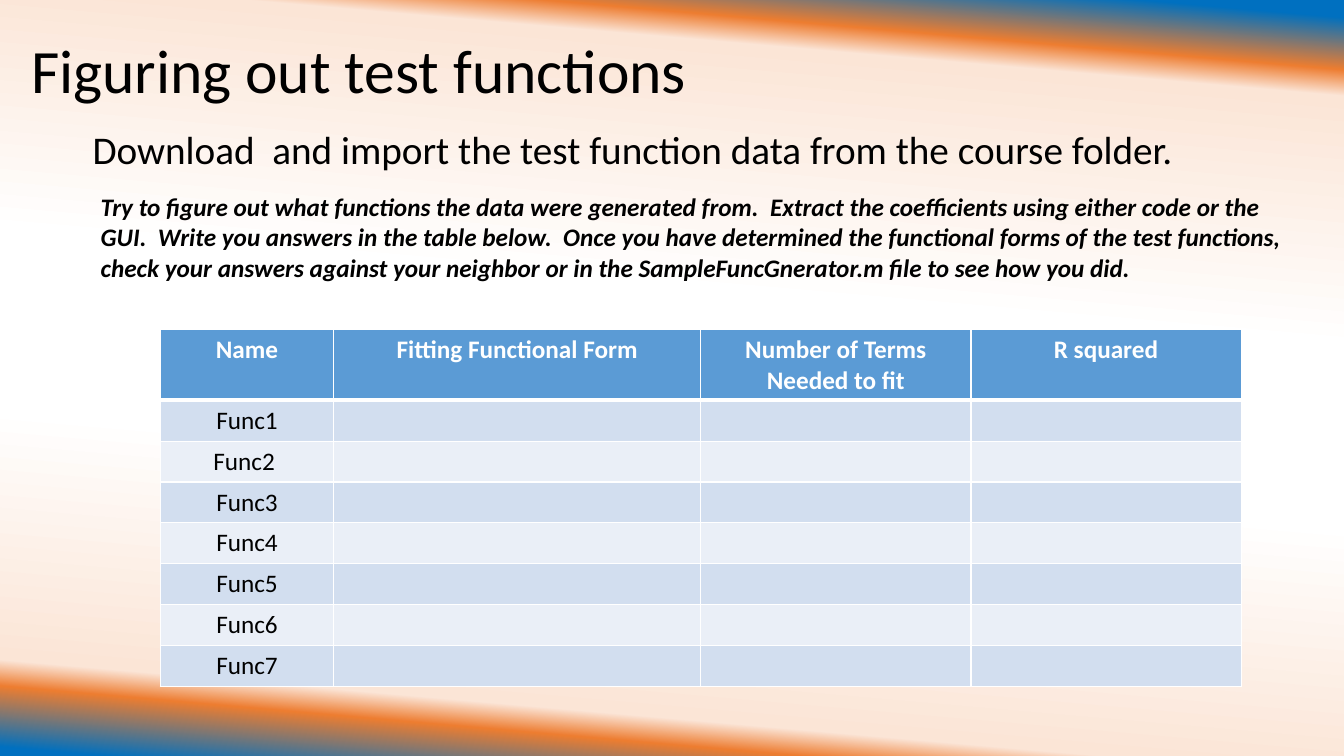
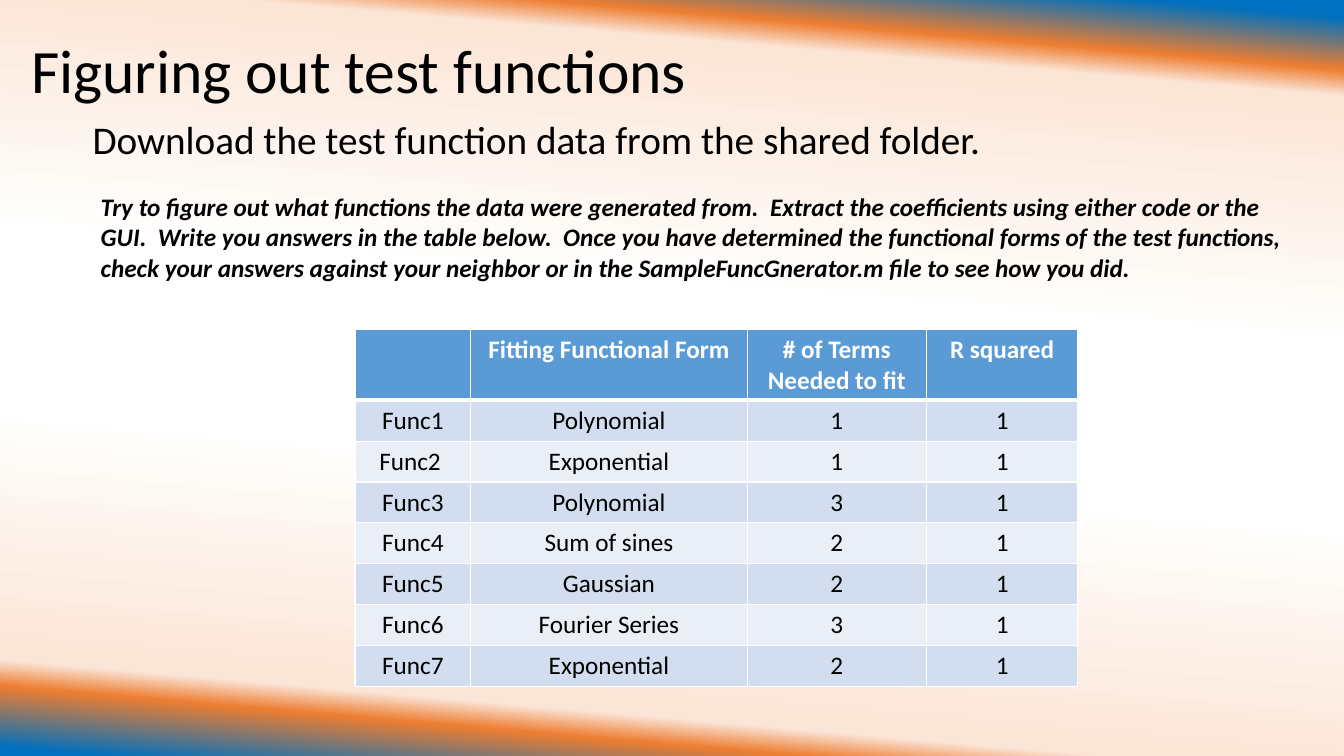
from lxml import etree
from pptx import Presentation
from pptx import oxml
from pptx import util as u
from pptx.dml.color import RGBColor
from pptx.enum import text as t
from pptx.oxml.ns import nsdecls, qn

# Shared look
FONT = "Calibri"
BLACK, WHITE = "000000", "FFFFFF"
HEAD, BANDS = "5B9BD5", ("D2DEEF", "EAEFF7")
BLUE, ORANGE, PEACH = "0070C0", "ED7D31", "FBE5D6"
STOPS = [(2, BLUE), (8, ORANGE), (11, PEACH), (40, WHITE),
         (60, WHITE), (89, PEACH), (92, ORANGE), (99, BLUE)]
ANGLE = 95

TITLE = dict(size=u.Pt(44))
LEAD = dict(size=u.Pt(28))
NOTE = dict(size=u.Pt(18), bold=True, italic=True)
CELL = dict(size=u.Pt(18), bold=False)
TIGHT = dict(line_spacing=0.9)

# Table measures in inches
TOP, TALL, HEAD_ROW = 3.27, 3.54, 0.7

TASK = ("Try to figure out what functions the data were generated from.  "
        "Extract the coefficients using either code or the GUI.  "
        "Write you answers in the table below.  "
        "Once you have determined the functional forms of the test functions, "
        "check your answers against your neighbor or in the "
        "SampleFuncGnerator.m file to see how you did.")
NAMES = ["Func1", "Func2 ", "Func3", "Func4", "Func5", "Func6", "Func7"]
FORMS = ["Polynomial", "Exponential", "Polynomial", "Sum of sines",
         "Gaussian", "Fourier Series", "Exponential"]
TERMS = [1, 1, 3, 2, 2, 3, 2]

SLIDES = [
    dict(lead="Download  and import the test function data from the course folder.",
         lead_top=1.25, left=1.59, cols=[1.72, 3.64, 2.68, 2.68],
         rows=[["Name", "Fitting Functional Form",
                "Number of Terms Needed to fit", "R squared"]]
         + [[name, "", "", ""] for name in NAMES]),
    dict(lead="Download the test function data from the shared folder.",
         lead_top=1.15, left=3.52, cols=[1.15, 2.74, 1.78, 1.5],
         rows=[["", "Fitting Functional Form",
                "# of Terms Needed to fit", "R squared"]]
         + [[name, form, str(count), "1"]
            for name, form, count in zip(NAMES, FORMS, TERMS)]),
]


def rgb(code):
    return RGBColor.from_string(code)


def apply(item, style):
    for key, value in style.items():
        setattr(item, key, value)


def write(para, words, font, color=BLACK, **layout):
    apply(para, layout)
    if words:
        run = para.add_run()
        run.text = words
        apply(run.font, dict(name=FONT, **font))
        run.font.color.rgb = rgb(color)


def paint(master):
    """Give the master its slanted gradient."""
    fill = master.background.fill
    fill.gradient()
    grad = next(master.element.iter(qn("a:gradFill")))
    for node in list(grad):
        grad.remove(node)
    stops = etree.SubElement(grad, qn("a:gsLst"))
    for place, color in STOPS:
        stop = etree.SubElement(stops, qn("a:gs"), pos=str(place * 1000))
        etree.SubElement(stop, qn("a:srgbClr"), val=color)
    etree.SubElement(grad, qn("a:lin"), ang=str(ANGLE * 60000), scaled="0")


def add_text(slide, box, words, font, anchor=t.MSO_ANCHOR.TOP, **layout):
    frame = slide.shapes.add_textbox(*map(u.Inches, box)).text_frame
    apply(frame, dict(word_wrap=True, vertical_anchor=anchor))
    write(frame.paragraphs[0], words, font, **layout)


def edge(cell, top, low):
    """Draw white cell borders; top and low are widths in points."""
    props = cell._tc.get_or_add_tcPr()
    for i, (side, width) in enumerate(zip("LRTB", (1, 1, top, low))):
        line = oxml.parse_xml(
            f'<a:ln{side} {nsdecls("a")} w="{u.Pt(width)}"><a:solidFill>'
            f'<a:srgbClr val="{WHITE}"/></a:solidFill></a:ln{side}>')
        props.insert(i, line)


def add_grid(slide, left, cols, rows):
    box = (left, TOP, sum(cols), TALL)
    grid = slide.shapes.add_table(
        len(rows), len(cols), *map(u.Inches, box)).table
    for col, width in zip(grid.columns, cols):
        col.width = u.Inches(width)
    step = (TALL - HEAD_ROW) / (len(rows) - 1)
    for r, row in enumerate(rows):
        head = r == 0
        grid.rows[r].height = u.Inches(HEAD_ROW if head else step)
        for c, words in enumerate(row):
            cell = grid.cell(r, c)
            cell.fill.solid()
            cell.fill.fore_color.rgb = rgb(HEAD if head else BANDS[(r - 1) % 2])
            edge(cell, 3 if r == 1 else 1, 3 if head else 1)
            write(cell.text_frame.paragraphs[0], words,
                  dict(CELL, bold=head), WHITE if head else BLACK,
                  alignment=t.PP_ALIGN.CENTER)


def add_page(deck, lead, lead_top, left, cols, rows):
    slide = deck.slides.add_slide(deck.slide_layouts[6])
    add_text(slide, (0.21, 0, 11.5, 1.45), "Figuring out test functions",
             TITLE, t.MSO_ANCHOR.MIDDLE, **TIGHT)
    add_text(slide, (0.82, lead_top, 11.5, 1.72), lead, LEAD,
             space_before=u.Pt(10), **TIGHT)
    add_text(slide, (0.9, 1.85, 12.02, 1.01), TASK, NOTE)
    add_grid(slide, left, cols, rows)


def main():
    deck = Presentation()
    apply(deck, dict(slide_width=u.Inches(13.33), slide_height=u.Inches(7.5)))
    paint(deck.slide_master)
    for page in SLIDES:
        add_page(deck, **page)
    deck.save("out.pptx")


main()
